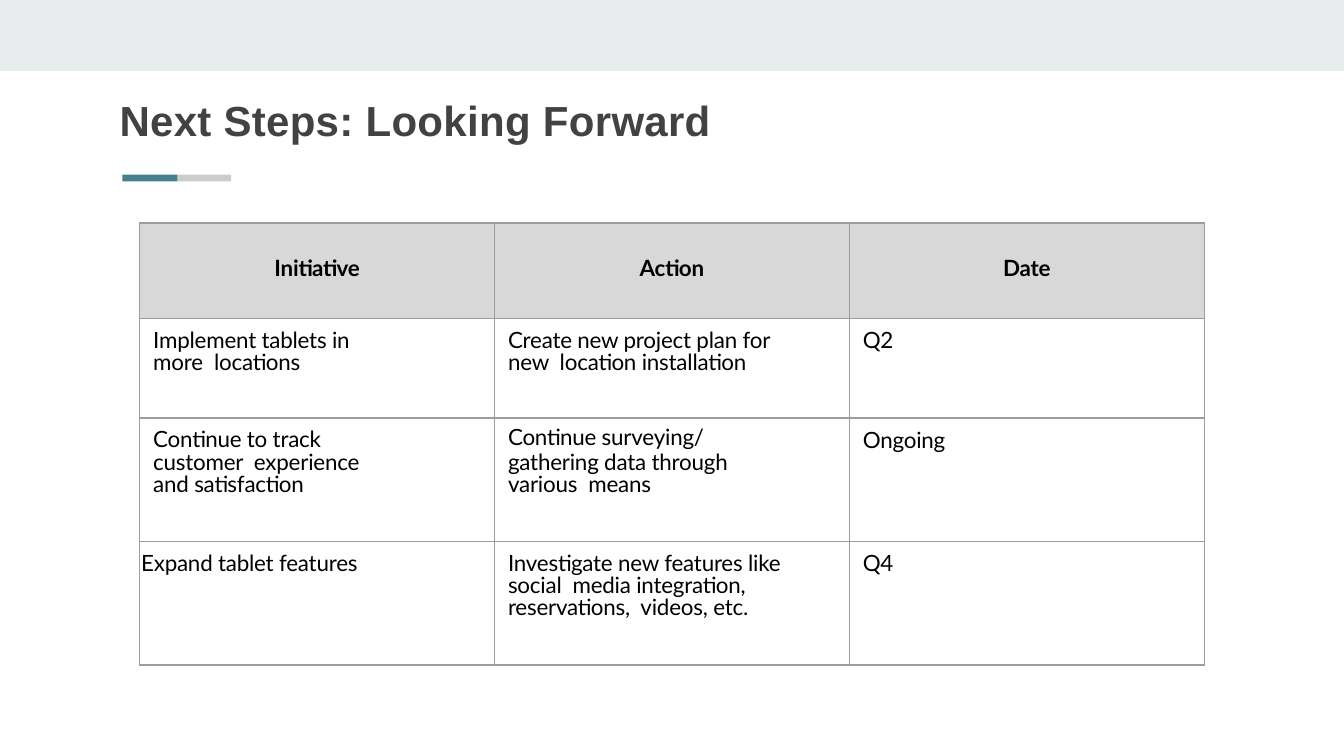
from dataclasses import dataclass

from lxml import etree
from pptx import Presentation
from pptx.dml.color import RGBColor
from pptx.enum.shapes import MSO_SHAPE
from pptx.enum.text import PP_ALIGN
from pptx.oxml.ns import qn
from pptx.util import Inches, Pt

RECTANGLE = MSO_SHAPE.RECTANGLE
LEFT, CENTER = PP_ALIGN.LEFT, PP_ALIGN.CENTER


@dataclass(frozen=True)
class Theme:
    band: str = "E8ECED"
    accent: str = "44808D"
    muted: str = "CCCCCC"
    heading: str = "424242"
    text: str = "000000"
    header_fill: str = "D8D8D8"
    border: str = "9D9D9D"
    border_width: float = 0.75
    heading_font: str = "Arial"
    table_font: str = "Lato"
    heading_size: float = 22.5
    table_size: float = 12
    heading_tracking: int = 15
    table_tracking: int = -10


THEME = Theme()

HEADING = "Next Steps: Looking Forward"
COLUMNS = ["Initiative", "Action", "Date"]
STEPS = [
    ("Implement tablets in more  locations",
     "Create new project plan for new  location installation",
     "Q2"),
    ("Continue to track customer  experience and satisfaction",
     "Continue surveying/\ngathering data through various  means",
     "Ongoing"),
    ("Expand tablet features",
     "Investigate new features like social  media integration, reservations,  videos, etc.",
     "Q4"),
]

SLIDE_WIDTH, SLIDE_HEIGHT = 10, 10 * 9 / 16
BARS = [
    (0, 0, SLIDE_WIDTH, 0.53, THEME.band),
    (1.32, 1.3, 0.4, 0.05, THEME.muted),
    (0.91, 1.3, 0.41, 0.05, THEME.accent),
]
TABLE_LEFT, TABLE_TOP = 1.04, 1.66
COLUMN_WIDTH = 2.64
ROW_HEIGHTS = [0.71, 0.74, 0.92, 0.92]
RIGHT_MARGINS = [0.85, 0.43, 0]


def style_paragraph(paragraph, name, size, color, bold, tracking):
    font = paragraph.font
    font.name, font.size, font.bold = name, Pt(size), bold
    font.color.rgb = RGBColor.from_string(color)
    for run in paragraph.runs:
        run._r.get_or_add_rPr().set("spc", str(tracking))


def add_bar(slide, left, top, width, height, color):
    bar = slide.shapes.add_shape(
        RECTANGLE, Inches(left), Inches(top), Inches(width), Inches(height))
    bar.shadow.inherit = False
    bar.fill.solid()
    bar.fill.fore_color.rgb = RGBColor.from_string(color)
    bar.line.fill.background()


def add_heading(slide):
    heading = slide.shapes.add_textbox(
        Inches(0.88), Inches(0.69), Inches(4.44), Inches(0.41))
    frame = heading.text_frame
    frame.word_wrap = True
    frame.margin_left, frame.margin_top = Inches(0.01), Inches(0.01)
    frame.margin_right = frame.margin_bottom = 0
    frame.text = HEADING
    style_paragraph(frame.paragraphs[0], THEME.heading_font, THEME.heading_size,
                    THEME.heading, True, THEME.heading_tracking)


def add_borders(cell):
    properties = cell._tc.get_or_add_tcPr()
    for index, side in enumerate(("lnL", "lnR", "lnT", "lnB")):
        line = etree.Element(qn(f"a:{side}"), w=str(Pt(THEME.border_width)))
        fill = etree.SubElement(line, qn("a:solidFill"))
        etree.SubElement(fill, qn("a:srgbClr"), val=THEME.border)
        properties.insert(index, line)


def fill_cell(cell, text, align, bold, margins, line_spacing):
    cell.margin_left, cell.margin_top, cell.margin_right = map(Inches, margins)
    cell.margin_bottom = 0
    cell.text = text
    for paragraph in cell.text_frame.paragraphs:
        paragraph.alignment = align
        if line_spacing:
            paragraph.line_spacing = Pt(line_spacing)
        style_paragraph(paragraph, THEME.table_font, THEME.table_size,
                        THEME.text, bold, THEME.table_tracking)
    if bold:
        cell.fill.solid()
        cell.fill.fore_color.rgb = RGBColor.from_string(THEME.header_fill)
    else:
        cell.fill.background()
    add_borders(cell)


def add_steps_table(slide):
    table = slide.shapes.add_table(
        len(ROW_HEIGHTS), len(COLUMNS), Inches(TABLE_LEFT), Inches(TABLE_TOP),
        Inches(COLUMN_WIDTH * len(COLUMNS)), Inches(sum(ROW_HEIGHTS))).table
    table.horz_banding = False
    for column in table.columns:
        column.width = Inches(COLUMN_WIDTH)
    for row, height in zip(table.rows, ROW_HEIGHTS):
        row.height = Inches(height)
    for index, title in enumerate(COLUMNS):
        fill_cell(table.cell(0, index), title, CENTER, True, (0, 0.23, 0), None)
    for row, step in enumerate(STEPS, 1):
        for column, text in enumerate(step):
            single_line = len(text) < 25
            left = 0.01 if single_line and column == 0 else 0.1
            top = 0.06 if single_line or "\n" in text else 0.09
            fill_cell(table.cell(row, column), text, LEFT, False,
                      (left, top, RIGHT_MARGINS[column]),
                      None if single_line else 12)
            if "\n" in text:
                first, second = table.cell(row, column).text_frame.paragraphs
                first.line_spacing, second.space_before = Pt(13.2), Pt(1.2)


presentation = Presentation()
presentation.slide_width = Inches(SLIDE_WIDTH)
presentation.slide_height = Inches(SLIDE_HEIGHT)
slide = presentation.slides.add_slide(presentation.slide_layouts[6])
for bar in BARS:
    add_bar(slide, *bar)
add_heading(slide)
add_steps_table(slide)
presentation.save("out.pptx")
